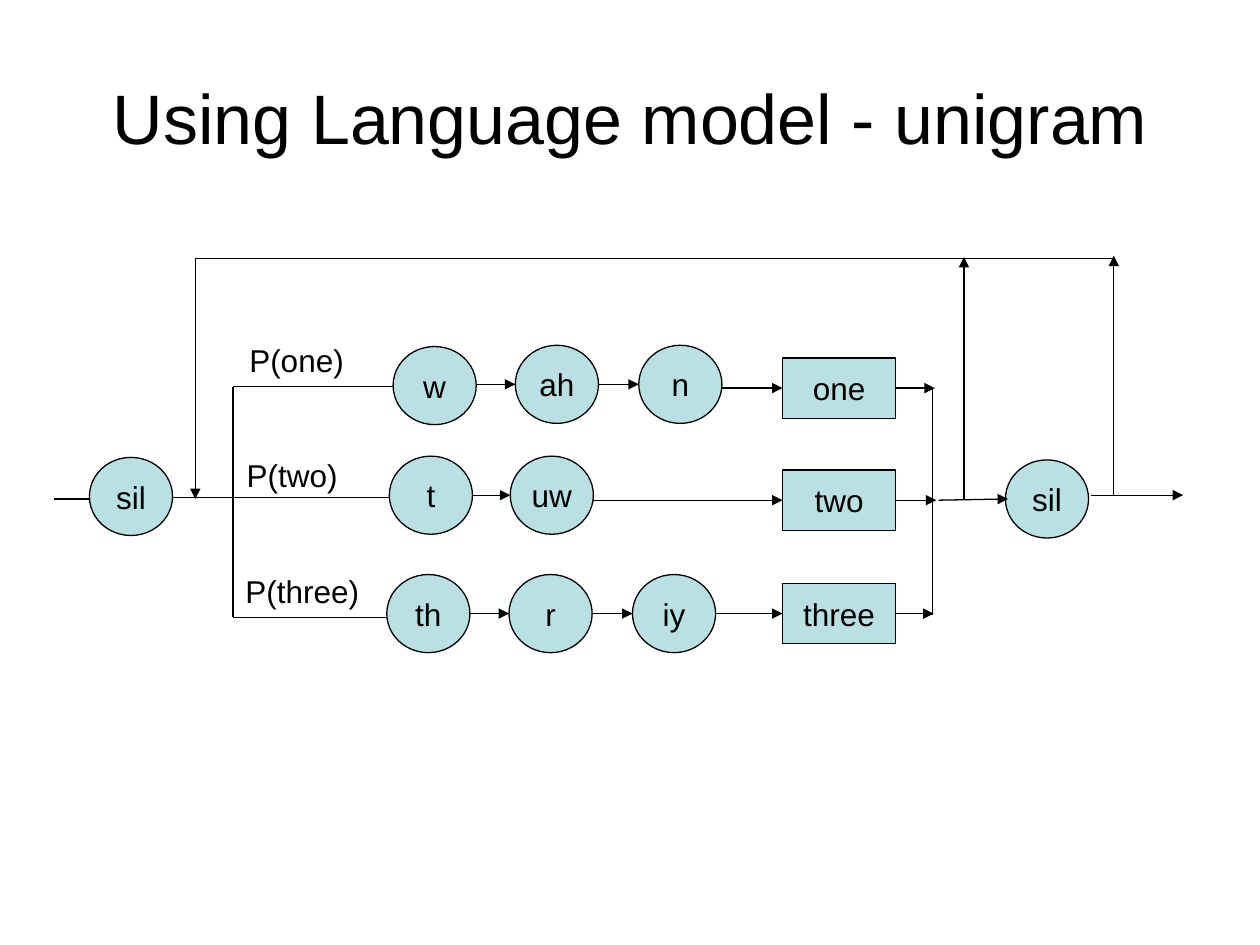
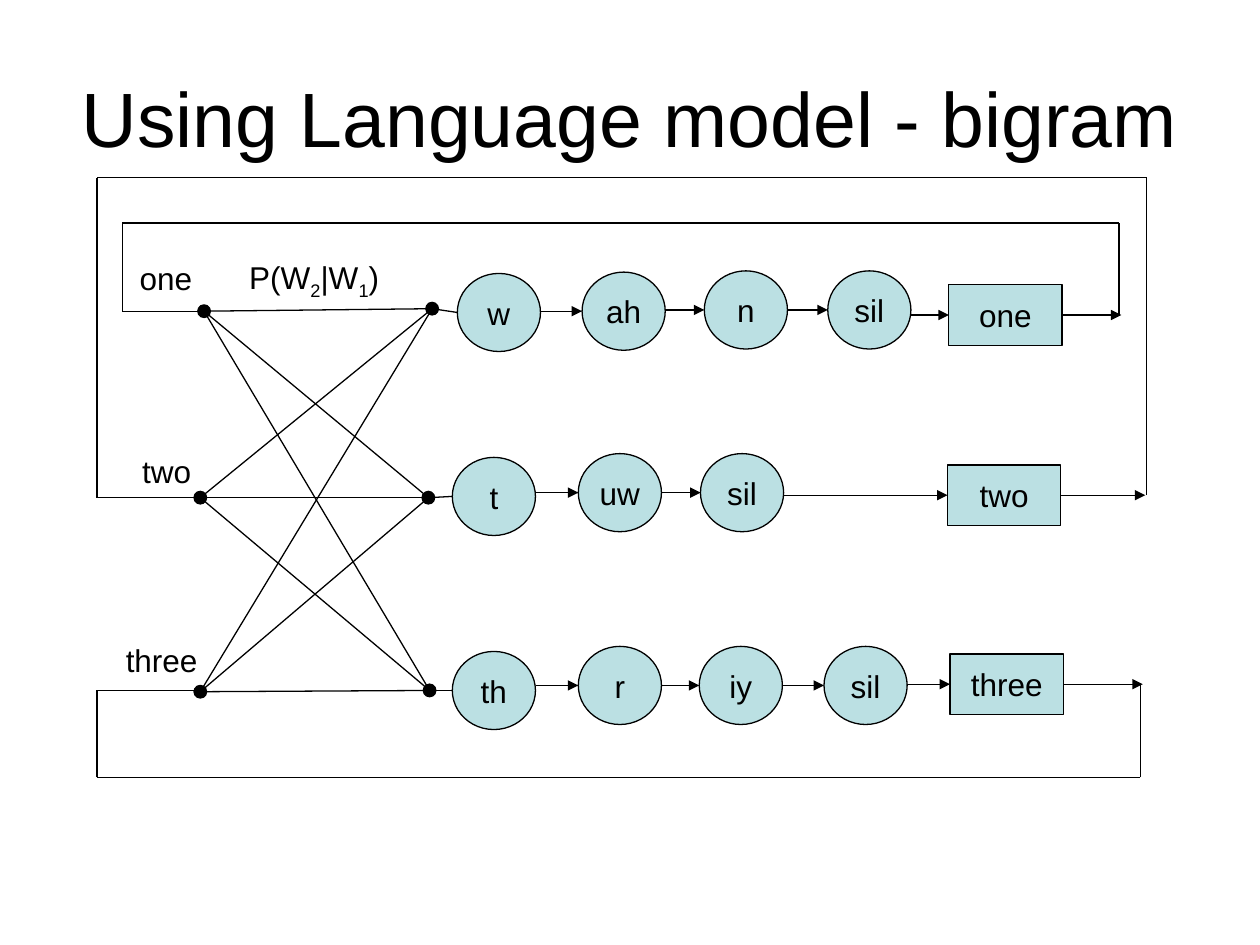
from itertools import pairwise, product

from lxml import etree
from pptx import Presentation
from pptx.dml.color import RGBColor
from pptx.enum.shapes import MSO_CONNECTOR, MSO_SHAPE
from pptx.enum.text import MSO_ANCHOR, MSO_AUTO_SIZE, PP_ALIGN
from pptx.oxml.ns import qn
from pptx.util import Pt

STRAIGHT = MSO_CONNECTOR.STRAIGHT
ELLIPSE = MSO_SHAPE.OVAL
RECTANGLE = MSO_SHAPE.RECTANGLE
MIDDLE = MSO_ANCHOR.MIDDLE
CENTER = PP_ALIGN.CENTER
LEFT = PP_ALIGN.LEFT
FIT_TEXT = MSO_AUTO_SIZE.SHAPE_TO_FIT_TEXT
LEFT_SIDE, RIGHT_SIDE = 1, 3

EMU_PER_PX = 9144
SLIDE_SIZE = (1000, 750)
TITLE_BOX = (50, 30, 900, 125)
PHONE_SIZE = (66, 62)
WORD_SIZE = (90, 48)
DOT_SIZE = (10, 10)
LABEL_HEIGHT = 40
BLACK = "000000"
TEAL = "BBE0E3"
LINE_WIDTH = Pt(0.75)
BODY_FONT = {"name": "Arial", "size": Pt(18), "bold": False}
LABEL_FRAME = {"word_wrap": False, "auto_size": FIT_TEXT}
NODE_FRAME = {"word_wrap": False, "vertical_anchor": MIDDLE}
TITLE_FRAME = {"word_wrap": True, "vertical_anchor": MIDDLE}

UNIGRAM = {
    "title": "Using Language model - unigram",
    "title_size": 40,
    "chains": [
        {"phones": [("w", 312, 275), ("ah", 409, 274), ("n", 507, 274)],
         "word": ("one", 621, 284), "exit": 742},
        {"phones": [("t", 309, 362), ("uw", 405, 362)],
         "word": ("two", 621, 373), "exit": 743},
        {"phones": [("th", 307, 456), ("r", 404, 456), ("iy", 502, 456)],
         "word": ("three", 621, 463), "exit": 741},
    ],
    "silences": [("sil", 71, 363), ("sil", 798, 365)],
    "labels": [
        (("P(one)",), 188, 266, 95),
        (("P(two)",), 186, 357, 92),
        (("P(three)",), 185, 449, 110),
    ],
    "lines": [
        [(43, 396), (71, 396)],
        [(137, 395), (309, 395)],
        [(312, 307), (185, 307), (185, 490), (307, 490)],
        [(740, 308), (740, 488)],
        [(155, 205), (884, 205)],
    ],
    "arrows": [
        [(745, 397), (800, 396)],
        [(866, 393), (939, 393)],
        [(155, 205), (155, 396)],
        [(765, 396), (765, 204)],
        [(884, 393), (884, 203)],
    ],
    "history_dots": [],
    "next_dots": [],
}

BIGRAM = {
    "title": "Using Language model - bigram",
    "title_size": 44,
    "chains": [
        {"phones": [("w", 363, 217), ("ah", 462, 216), ("n", 559, 215), ("sil", 657, 215)],
         "word": ("one", 753, 226), "exit": 890},
        {"phones": [("t", 359, 363), ("uw", 459, 360), ("sil", 556, 360)],
         "word": ("two", 752, 369), "exit": 909},
        {"phones": [("th", 359, 517), ("r", 459, 513), ("iy", 555, 513), ("sil", 654, 513)],
         "word": ("three", 754, 519), "exit": 907},
    ],
    "silences": [],
    "labels": [
        (("P(W", "2", "|W", "1", ")"), 188, 200, 126),
        (("one",), 101, 201, 62),
        (("two",), 103, 354, 59),
        (("three",), 90, 504, 77),
    ],
    "lines": [
        [(888, 250), (888, 177), (97, 177), (97, 247), (162, 247)],
        [(910, 393), (910, 141), (77, 141), (77, 395), (159, 395)],
        [(905, 543), (905, 617), (77, 617), (77, 548), (159, 548)],
    ],
    "arrows": [],
    "history_dots": [(162, 247), (159, 395), (159, 549)],
    "next_dots": [(343, 245), (340, 395), (341, 548)],
}


def px(*lengths):
    return [length * EMU_PER_PX for length in lengths]


def color(hex_value):
    return RGBColor.from_string(hex_value)


def apply(target, values):
    for name, value in values.items():
        setattr(target, name, value)


def write(frame, pieces, frame_format, font_format, alignment):
    apply(frame, frame_format)
    paragraph = frame.paragraphs[0]
    paragraph.alignment = alignment
    for index, piece in enumerate(pieces):
        run = paragraph.add_run()
        run.text = piece
        apply(run.font, font_format)
        run.font.color.rgb = color(BLACK)
        if index % 2:
            run.font._element.set("baseline", "-25000")


def add_node(slide, kind, left, top, size, fill, text=""):
    shape = slide.shapes.add_shape(kind, *px(left, top, *size))
    shape.shadow.inherit = False
    shape.fill.solid()
    shape.fill.fore_color.rgb = color(fill)
    shape.line.color.rgb = color(BLACK)
    shape.line.width = LINE_WIDTH
    if text:
        write(shape.text_frame, [text], NODE_FRAME, BODY_FONT, CENTER)
    return shape


def add_line(slide, start, end, arrow=False):
    connector = slide.shapes.add_connector(STRAIGHT, *px(*start, *end))
    connector.line.color.rgb = color(BLACK)
    connector.line.width = LINE_WIDTH
    properties = connector._element.spPr
    if arrow:
        etree.SubElement(properties.find(qn("a:ln")), qn("a:tailEnd"), type="triangle")
    etree.SubElement(properties, qn("a:effectLst"))
    return connector


def add_chain(slide, chain):
    phones = [(left, top, PHONE_SIZE) for _, left, top in chain["phones"]]
    word, word_left, word_top = chain["word"]
    boxes = phones + [(word_left, word_top, WORD_SIZE)]
    for text, left, top in chain["phones"]:
        add_node(slide, ELLIPSE, left, top, PHONE_SIZE, TEAL, text)
    word_shape = add_node(slide, RECTANGLE, word_left, word_top, WORD_SIZE, TEAL, word)
    for (left, _, (width, _)), (next_left, next_top, (_, height)) in pairwise(boxes):
        middle = next_top + height // 2
        arrow = add_line(slide, (left + width, middle), (next_left, middle), True)
    arrow.end_connect(word_shape, LEFT_SIDE)
    exit_arrow = add_line(slide, (word_left + WORD_SIZE[0], middle), (chain["exit"], middle), True)
    exit_arrow.begin_connect(word_shape, RIGHT_SIDE)


def add_bigram_links(slide, content):
    for history, following in product(content["history_dots"], content["next_dots"]):
        add_line(slide, history, following)
    for dot, chain in zip(content["next_dots"], content["chains"]):
        _, left, top = chain["phones"][0]
        add_line(slide, dot, (left, top + PHONE_SIZE[1] // 2))
    for x, y in content["history_dots"] + content["next_dots"]:
        add_node(slide, ELLIPSE, x - 5, y - 5, DOT_SIZE, BLACK)


def add_title(slide, content):
    title = slide.shapes.title
    apply(title, dict(zip(("left", "top", "width", "height"), px(*TITLE_BOX))))
    font_format = BODY_FONT | {"size": Pt(content["title_size"])}
    write(title.text_frame, [content["title"]], TITLE_FRAME, font_format, CENTER)


def build_slide(presentation, content):
    slide = presentation.slides.add_slide(presentation.slide_layouts.get_by_name("Title Only"))
    add_title(slide, content)
    for chain in content["chains"]:
        add_chain(slide, chain)
    for text, left, top in content["silences"]:
        add_node(slide, ELLIPSE, left, top, PHONE_SIZE, TEAL, text)
    for points in content["lines"]:
        for start, end in pairwise(points):
            add_line(slide, start, end)
    for start, end in content["arrows"]:
        add_line(slide, start, end, True)
    add_bigram_links(slide, content)
    for pieces, left, top, width in content["labels"]:
        box = slide.shapes.add_textbox(*px(left, top, width, LABEL_HEIGHT))
        write(box.text_frame, pieces, LABEL_FRAME, BODY_FONT, LEFT)


def main():
    presentation = Presentation()
    presentation.slide_width, presentation.slide_height = px(*SLIDE_SIZE)
    for content in (UNIGRAM, BIGRAM):
        build_slide(presentation, content)
    presentation.save("out.pptx")


if __name__ == "__main__":
    main()
